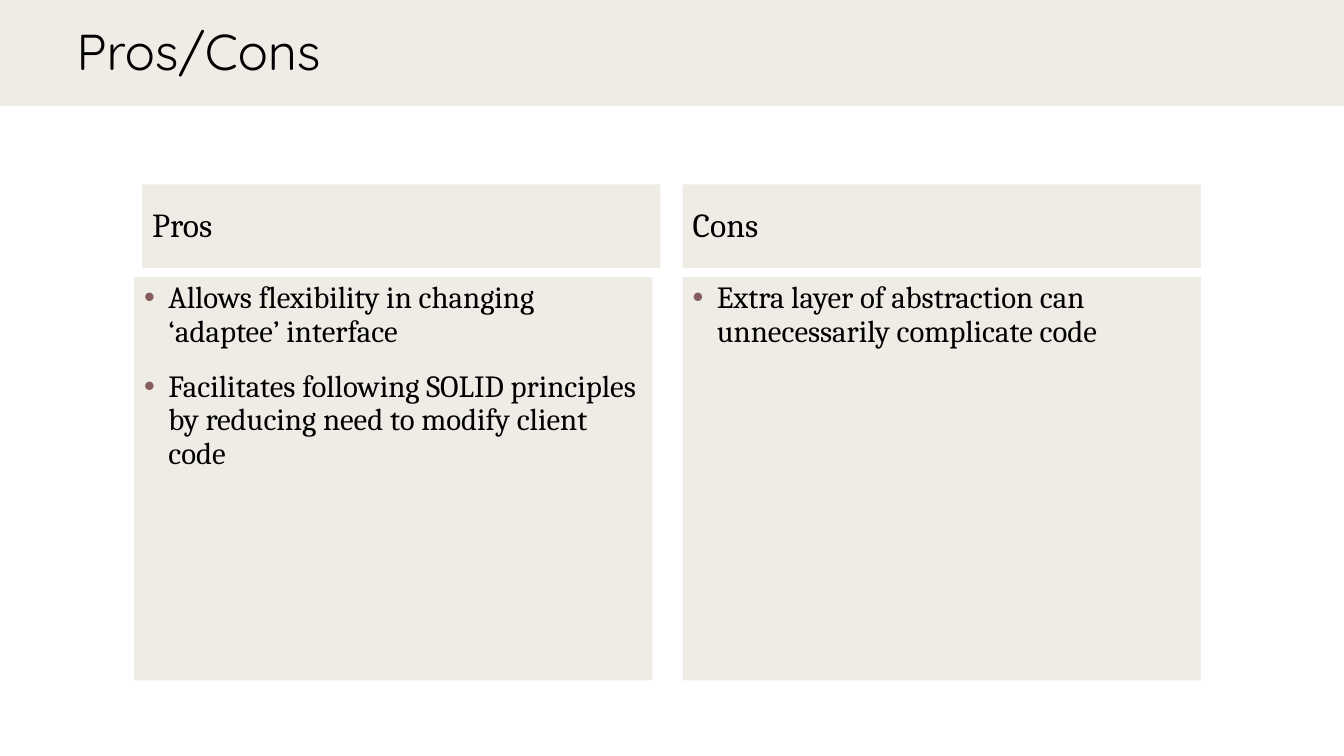
from dataclasses import dataclass

from lxml import etree
from pptx import Presentation
from pptx.dml.color import RGBColor
from pptx.enum.shapes import MSO_SHAPE
from pptx.enum.text import MSO_ANCHOR, MSO_AUTO_SIZE, PP_ALIGN
from pptx.oxml.ns import qn
from pptx.util import Inches, Pt

RECTANGLE = MSO_SHAPE.RECTANGLE
TOP, MIDDLE = MSO_ANCHOR.TOP, MSO_ANCHOR.MIDDLE
NO_AUTOFIT = MSO_AUTO_SIZE.NONE
LEFT = PP_ALIGN.LEFT
COMPARISON_LAYOUT = 4


@dataclass(frozen=True)
class Theme:
    panel: str = "E9E5DC"
    panel_opacity: int = 70
    ink: str = "000000"
    bullet: str = "855D5D"
    title_font: str = "Quicksand"
    body_font: str = "Cambria"
    title_size: int = 36
    heading_size: int = 24
    list_size: int = 22


THEME = Theme()


def place(shape, box):
    shape.left, shape.top, shape.width, shape.height = map(Inches, box)


def fill_panel(shape):
    """Fill with the translucent panel colour."""
    shape.fill.solid()
    shape.fill.fore_color.rgb = RGBColor.from_string(THEME.panel)
    color = shape.fill._xPr.find(".//" + qn("a:srgbClr"))
    etree.SubElement(color, qn("a:alpha"), val=str(THEME.panel_opacity * 1000))


def write(shape, lines, font, size, anchor, space_before=0):
    frame = shape.text_frame
    frame.text = "\n".join(lines)
    frame.word_wrap = True
    frame.auto_size = NO_AUTOFIT
    frame.vertical_anchor = anchor
    for paragraph in frame.paragraphs:
        paragraph.alignment = LEFT
        paragraph.line_spacing = 0.9
        paragraph.space_before = Pt(space_before)
        for run in paragraph.runs:
            run.font.name = font
            run.font.size = Pt(size)
            run.font.bold = False
            run.font.color.rgb = RGBColor.from_string(THEME.ink)


def add_bullets(shape):
    for paragraph in shape.text_frame.paragraphs:
        props = paragraph._p.get_or_add_pPr()
        props.set("marL", str(Inches(0.24)))
        props.set("indent", str(Inches(-0.25)))
        color = etree.SubElement(props, qn("a:buClr"))
        etree.SubElement(color, qn("a:srgbClr"), val=THEME.bullet)
        etree.SubElement(props, qn("a:buFont"), typeface="Arial")
        etree.SubElement(props, qn("a:buChar"), char="•")


def build_title(slide, box, text):
    left, top, width, height = box
    # Band behind the title
    band = slide.shapes.add_shape(RECTANGLE, 0, 0, 0, 0)
    place(band, (left, top - 0.03, width, height))
    band.shadow.inherit = False
    band.line.fill.background()
    fill_panel(band)
    slide.shapes._spTree.insert(2, band._element)
    # Title text
    title = slide.shapes.title
    place(title, (left + 0.66, top, width - 0.66, height))
    write(title, [text], THEME.title_font, THEME.title_size, MIDDLE)


def build_column(heading, points, box, heading_text, point_texts, list_shift=0):
    left, top, width, height = box
    heading_height, gap = 0.83, 0.09
    list_top = heading_height + gap
    # Heading panel
    place(heading, (left, top, width, heading_height))
    fill_panel(heading)
    write(heading, [heading_text], THEME.body_font, THEME.heading_size, MIDDLE)
    # List panel
    place(points, (left + list_shift, top + list_top, width, height - list_top))
    fill_panel(points)
    write(points, point_texts, THEME.body_font, THEME.list_size, TOP, space_before=16)
    add_bullets(points)


def build_comparison(prs):
    slide = prs.slides.add_slide(prs.slide_layouts[COMPARISON_LAYOUT])
    build_title(slide, (0, 0, 13.33, 1.08), "Pros/Cons")
    _, pros, pros_list, cons, cons_list = slide.placeholders
    top, width, height = 1.83, 5.14, 4.92
    build_column(pros, pros_list, (1.41, top, width, height), "Pros", [
        "Allows flexibility in changing ‘adaptee’ interface",
        "Facilitates following SOLID principles by reducing need to modify client code",
    ], list_shift=-0.08)
    build_column(cons, cons_list, (6.77, top, width, height), "Cons", [
        "Extra layer of abstraction can unnecessarily complicate code",
    ])


prs = Presentation()
prs.slide_width, prs.slide_height = Inches(13.33), Inches(7.5)
build_comparison(prs)
prs.save("out.pptx")
